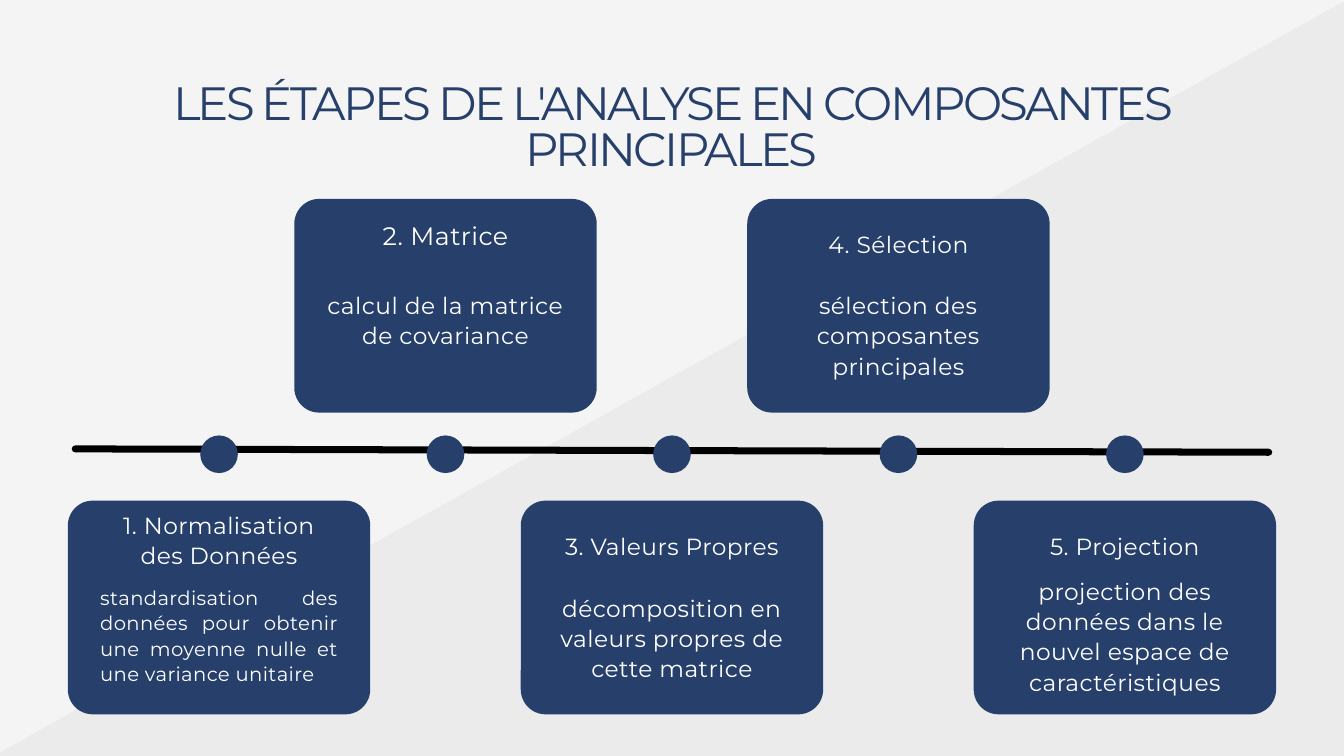
from lxml import etree
from pptx import Presentation
from pptx.dml.color import RGBColor
from pptx.enum.shapes import MSO_CONNECTOR, MSO_SHAPE
from pptx.enum.text import MSO_ANCHOR, MSO_AUTO_SIZE, PP_ALIGN
from pptx.oxml.ns import qn
from pptx.util import Inches, Pt

NAVY = RGBColor(0x26, 0x3F, 0x6B)
WHITE = RGBColor(0xFF, 0xFF, 0xFF)
BLACK = RGBColor(0x00, 0x00, 0x00)
GREY = RGBColor(0x54, 0x54, 0x54)
PAPER = RGBColor(0xF4, 0xF4, 0xF4)
FONT = "Montserrat"

TITLE = "LES ÉTAPES DE L'ANALYSE EN COMPOSANTES PRINCIPALES"

# Each part: text, offset from the card's top, number of lines, format
STEPS = [
    [("1. Normalisation des Données", 0.12, 2, {}),
     ("standardisation des données pour obtenir une moyenne nulle et une variance unitaire",
      1.24, 4, {"size": 21, "align": PP_ALIGN.JUSTIFY, "tracking": 0.4})],
    [("2. Matrice", 0.28, 1, {"size": 27}),
     ("calcul de la matrice de covariance", 1.34, 2, {})],
    [("3. Valeurs Propres", 0.43, 1, {}),
     ("décomposition en valeurs propres de cette matrice", 1.35, 3, {})],
    [("4. Sélection", 0.43, 1, {}),
     ("sélection des composantes principales", 1.34, 3, {})],
    [("5. Projection", 0.43, 1, {}),
     ("projection des données dans le nouvel espace de caractéristiques", 1.1, 4, {})],
]

SLIDE_WIDTH, SLIDE_HEIGHT = 20, 11.25
STEP_GAP = 3.37
CARD_WIDTH, CARD_HEIGHT, CARD_RADIUS = 4.5, 3.18, 0.37
CARD_TOPS = (7.45, 2.96)  # odd steps below the timeline, even steps above
TEXT_WIDTH = 3.54
DOT_SIZE, DOT_CENTRE = 0.56, 6.76
LINE_RATIO = 1.3


def inches(*lengths):
    return [Inches(length) for length in lengths]


def write(box, text, size=25, color=WHITE, align=PP_ALIGN.CENTER, tracking=0.5, leading=None):
    """Fill a text holder; tracking and leading are in points."""
    frame = box.text_frame
    frame.word_wrap = True
    frame.auto_size = MSO_AUTO_SIZE.NONE
    frame.vertical_anchor = MSO_ANCHOR.TOP
    frame.margin_left = frame.margin_right = frame.margin_top = frame.margin_bottom = 0
    para = frame.paragraphs[0]
    para.alignment = align
    para.line_spacing = Pt(leading or size * LINE_RATIO)
    para.space_before = Pt(0)
    span = para.add_run()
    span.text = text
    span.font.name = FONT
    span.font.size = Pt(size)
    span.font.color.rgb = color
    span.font._element.set("spc", str(round(tracking * 100)))


def add_solid(page, kind, left, top, width, height, color=NAVY):
    shape = page.shapes.add_shape(kind, *inches(left, top, width, height))
    shape.shadow.inherit = False
    shape.fill.solid()
    shape.fill.fore_color.rgb = color
    shape.line.fill.background()
    return shape


def add_band(page):
    """Pale diagonal band over the lower right half of the slide."""
    band = add_solid(page, MSO_SHAPE.RECTANGLE, -1.22, 4.76, 28.2, 10.48, GREY)
    band.rotation = 330.8
    color = band.fill._xPr.find(qn("a:solidFill"))[0]
    etree.SubElement(color, qn("a:alpha"), val="5000")


def add_timeline(page):
    line = page.shapes.add_connector(MSO_CONNECTOR.STRAIGHT, *inches(1.12, 6.68, 18.88, 6.73))
    line.line.color.rgb = BLACK
    line.line.width = Pt(7.5)
    line.line._ln.set("cap", "rnd")
    etree.SubElement(line._element.spPr, qn("a:effectLst"))


def add_step(page, index, parts):
    centre = SLIDE_WIDTH / 2 + (index - (len(STEPS) - 1) / 2) * STEP_GAP
    top = CARD_TOPS[index % 2]
    add_solid(page, MSO_SHAPE.OVAL, centre - DOT_SIZE / 2, DOT_CENTRE - DOT_SIZE / 2,
              DOT_SIZE, DOT_SIZE)
    card = add_solid(page, MSO_SHAPE.ROUNDED_RECTANGLE, centre - CARD_WIDTH / 2, top,
                     CARD_WIDTH, CARD_HEIGHT)
    card.adjustments[0] = CARD_RADIUS / CARD_HEIGHT
    for text, offset, lines, style in parts:
        height = lines * style.get("size", 25) * LINE_RATIO / 72
        box = page.shapes.add_textbox(
            *inches(centre - TEXT_WIDTH / 2, top + offset, TEXT_WIDTH, height))
        write(box, text, **style)


def main():
    deck = Presentation()
    deck.slide_width, deck.slide_height = inches(SLIDE_WIDTH, SLIDE_HEIGHT)
    page = deck.slides.add_slide(deck.slide_layouts[5])
    page.background.fill.solid()
    page.background.fill.fore_color.rgb = PAPER

    add_band(page)
    add_timeline(page)
    for index, parts in enumerate(STEPS):
        add_step(page, index, parts)

    title = page.shapes.title
    title.left, title.top, title.width, title.height = inches(2.33, 1.25, 15.33, 1.38)
    write(title, TITLE, size=50, color=NAVY, tracking=-2.9, leading=49)
    page.shapes._spTree.append(title._element)  # bring in front of the band

    deck.save("out.pptx")


if __name__ == "__main__":
    main()
